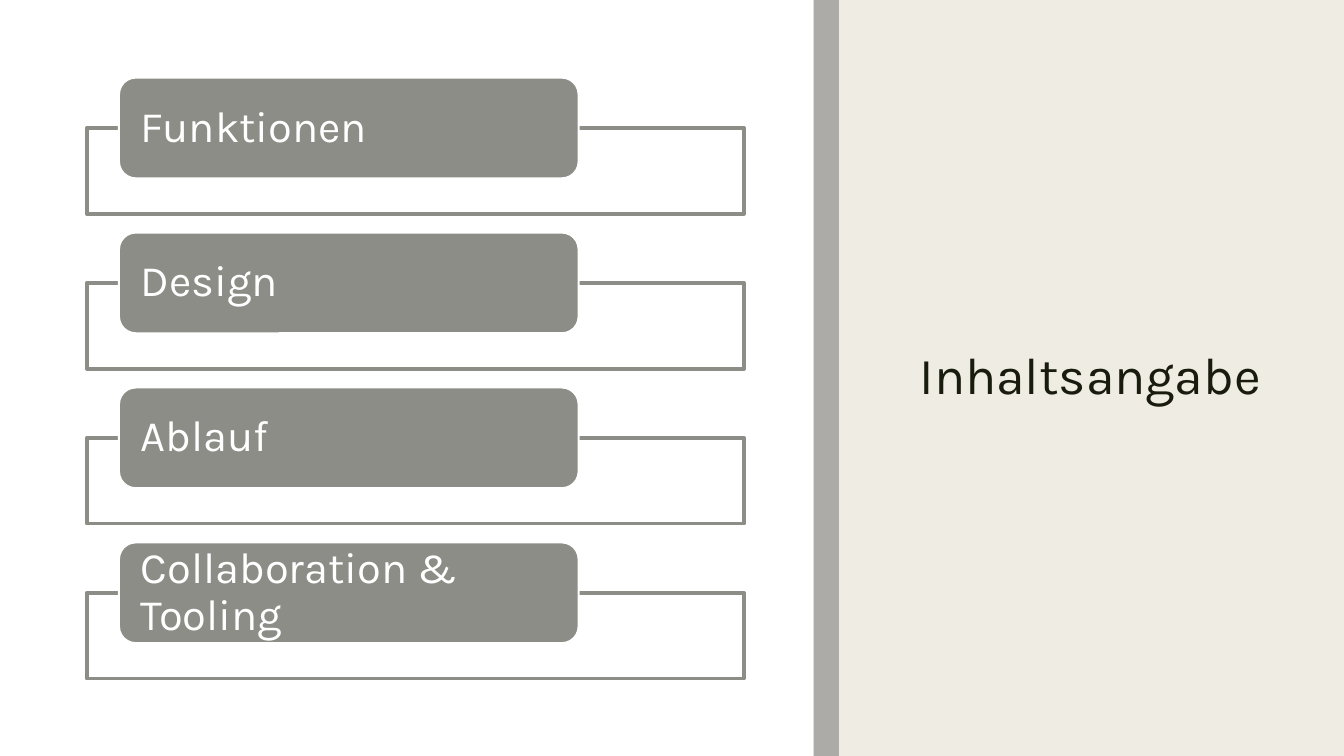
import pptx
import pptx.util
import pptx.dml.color
import pptx.enum.shapes
import pptx.enum.text
import pptx.oxml
import pptx.oxml.ns
from dataclasses import dataclass

Inches, Pt = pptx.util.Inches, pptx.util.Pt
SHAPE = pptx.enum.shapes.MSO_SHAPE

# Content
TITLE = "Inhaltsangabe"
TOPICS = ["Funktionen", "Design", "Ablauf", "Collaboration & Tooling"]


@dataclass(frozen=True)
class Theme:
    font: str = "Karla"
    ink: str = "191B0E"
    sand: str = "EFEDE3"
    white: str = "FFFFFF"
    stone: str = "8C8D86"
    bar: str = "808080"
    title_size: float = 37
    topic_size: float = 31


THEME = Theme()

# Layout in inches
WIDTH, HEIGHT = 13.33, 7.5
PANEL_W, BAR_W = 8.07, 0.25
FIRST_TOP, PITCH = 0.77, 1.537
LABEL_LEFT, LABEL_W, LABEL_H = 1.18, 4.56, 1.0
FRAME_LEFT, FRAME_W, FRAME_H = 0.86, 6.52, 0.85


def rgb(value):
    return pptx.dml.color.RGBColor.from_string(value)


def add_box(slide, kind, left, top, width, height, fill, alpha=None, line=None, line_width=0):
    sp = slide.shapes.add_shape(kind, Inches(left), Inches(top), Inches(width), Inches(height))
    sp.shadow.inherit = False
    sp.fill.solid()
    sp.fill.fore_color.rgb = rgb(fill)
    if alpha is not None:
        color = sp.fill._xPr.find(".//" + pptx.oxml.ns.qn("a:srgbClr"))
        color.append(pptx.oxml.parse_xml(
            f'<a:alpha {pptx.oxml.ns.nsdecls("a")} val="{alpha * 1000}"/>'))
    if line:
        sp.line.color.rgb = rgb(line)
        sp.line.width = Pt(line_width)
    else:
        sp.line.fill.background()
    return sp


def set_text(sp, text, size, color, spacing=0.9, inset_x=0.1, inset_y=0.05):
    tf = sp.text_frame
    tf.word_wrap = True
    tf.auto_size = pptx.enum.text.MSO_AUTO_SIZE.NONE
    tf.vertical_anchor = pptx.enum.text.MSO_ANCHOR.MIDDLE
    tf.margin_left = tf.margin_right = Inches(inset_x)
    tf.margin_top = tf.margin_bottom = Inches(inset_y)
    p = tf.paragraphs[0]
    p.alignment = pptx.enum.text.PP_ALIGN.LEFT
    p.line_spacing = spacing
    r = p.add_run()
    r.text = text
    r.font.name = THEME.font
    r.font.size = Pt(size)
    r.font.color.rgb = rgb(color)


def main():
    prs = pptx.Presentation()
    prs.slide_width, prs.slide_height = Inches(WIDTH), Inches(HEIGHT)
    slide = prs.slides.add_slide(prs.slide_layouts[5])

    # Background, white panel and dividing bar
    slide.background.fill.solid()
    slide.background.fill.fore_color.rgb = rgb(THEME.sand)
    add_box(slide, SHAPE.RECTANGLE, 0, 0, PANEL_W, HEIGHT, THEME.white)
    add_box(slide, SHAPE.RECTANGLE, PANEL_W, 0, BAR_W, HEIGHT, THEME.bar, alpha=60)

    # Title
    title = slide.shapes.title
    title.left, title.top = Inches(9.02), Inches(0.7)
    title.width, title.height = Inches(3.61), Inches(6.1)
    set_text(title, TITLE, THEME.title_size, THEME.ink, spacing=0.89)

    # Topics: a frame starting at the middle of each label
    for i, topic in enumerate(TOPICS):
        top = FIRST_TOP + i * PITCH
        add_box(slide, SHAPE.RECTANGLE, FRAME_LEFT, top + LABEL_H / 2, FRAME_W, FRAME_H,
                THEME.white, alpha=90, line=THEME.stone, line_width=2.75)
        label = add_box(slide, SHAPE.ROUNDED_RECTANGLE, LABEL_LEFT, top, LABEL_W, LABEL_H,
                        THEME.stone, line=THEME.white, line_width=1.5)
        set_text(label, topic, THEME.topic_size, THEME.white, inset_x=0.17, inset_y=0)

    prs.save("out.pptx")


if __name__ == "__main__":
    main()
